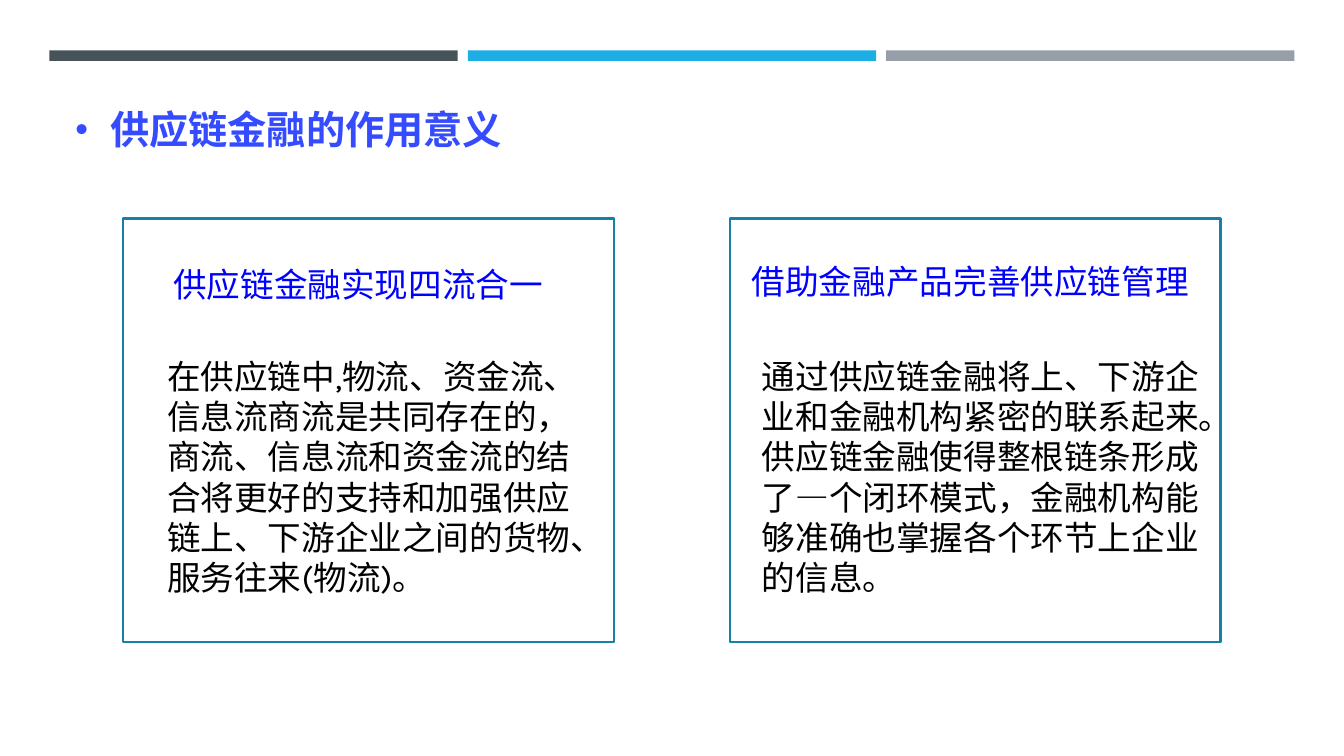
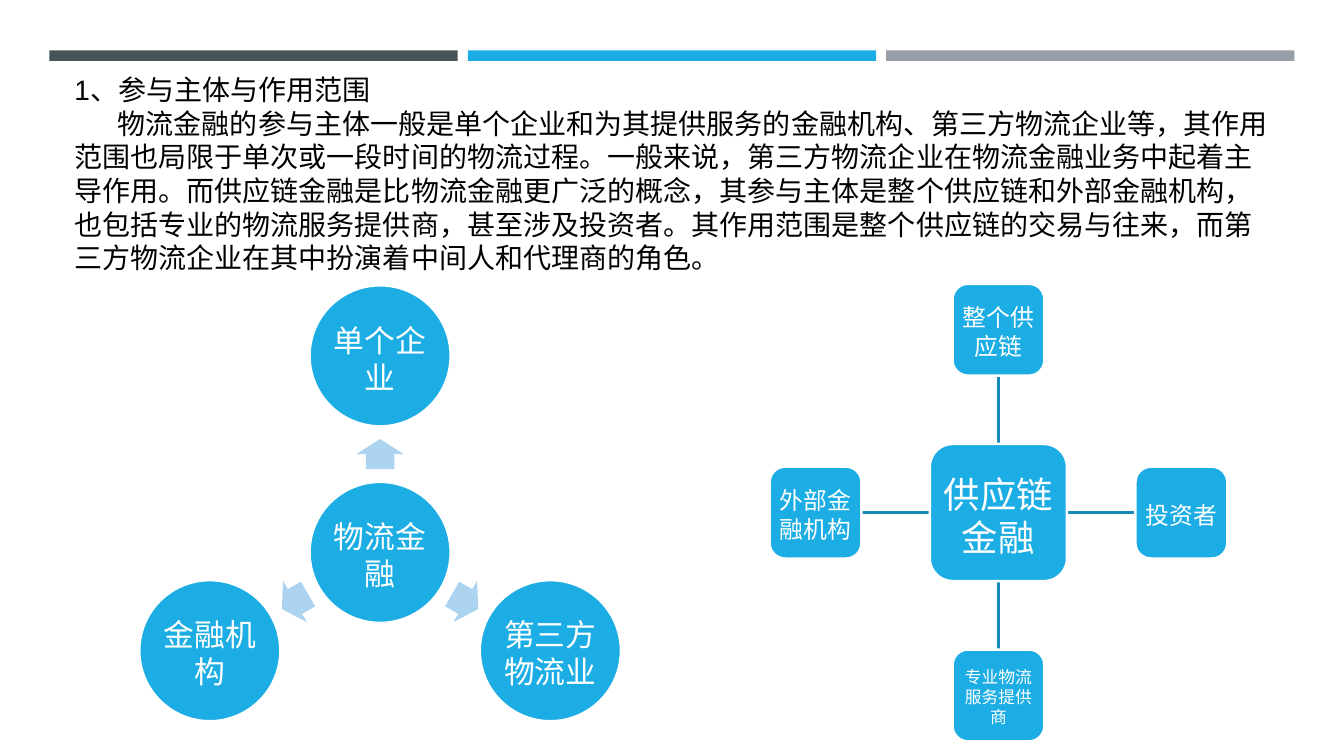
"""Builds two slides on supply chain finance, with lengths given as percentages of the slide size."""
import math

import lxml.etree
import pptx
import pptx.dml.color
import pptx.enum.shapes
import pptx.enum.text
import pptx.oxml.ns
import pptx.util

RGBColor = pptx.dml.color.RGBColor
SHAPE = pptx.enum.shapes.MSO_SHAPE
ANCHOR = pptx.enum.text.MSO_ANCHOR
ALIGN = pptx.enum.text.PP_ALIGN

SLATE = RGBColor(0x46, 0x53, 0x59)
SKY = RGBColor(0x1C, 0xAD, 0xE4)
GREY = RGBColor(0x96, 0x9F, 0xA7)
PALE_BLUE = RGBColor(0xAC, 0xD3, 0xEF)
CARD_LINE = RGBColor(0x15, 0x80, 0xA9)
SPOKE_LINE = RGBColor(0x16, 0x8B, 0xB7)
TITLE_BLUE = RGBColor(0x34, 0x4B, 0xFF)
HEADING_BLUE = RGBColor(0x00, 0x00, 0xFF)
BLACK = RGBColor(0x00, 0x00, 0x00)
WHITE = RGBColor(0xFF, 0xFF, 0xFF)

CHINESE_FONT = "Noto Sans CJK SC"
BODY_FONT = "Karla"
LINE_WIDTH = pptx.util.Pt(1.75)
LINE_HEIGHT = 1.2
BASELINE_DROP = 0.08
SLIDE_WIDTH = pptx.util.Inches(13.33)
SLIDE_HEIGHT = pptx.util.Inches(7.5)


def across(percent):
    return round(SLIDE_WIDTH * percent / 100)


def down(percent):
    return round(SLIDE_HEIGHT * percent / 100)


def area(left, top, width, height):
    return across(left), down(top), across(width), down(height)


def around(center, width, height):
    return center[0] - width // 2, center[1] - height // 2, width, height


def polar(center, distance, degrees):
    angle = math.radians(degrees)
    return (center[0] + round(distance * math.cos(angle)),
            center[1] + round(distance * math.sin(angle)))


def add_figure(slide, kind, box, fill=None, line=None):
    shape = slide.shapes.add_shape(kind, *box)
    shape.shadow.inherit = False
    if fill is None:
        shape.fill.background()
    else:
        shape.fill.solid()
        shape.fill.fore_color.rgb = fill
    if line is None:
        shape.line.fill.background()
    else:
        shape.line.color.rgb = line
        shape.line.width = LINE_WIDTH
    return shape


def add_run(paragraph, text, size, color, font, bold):
    run = paragraph.add_run()
    run.text = text
    run.font.size = pptx.util.Pt(size)
    run.font.bold = bold
    run.font.color.rgb = color
    run.font.name = font
    properties = run._r.get_or_add_rPr()
    properties.set("lang", "zh-CN")
    east_asian = lxml.etree.SubElement(properties, pptx.oxml.ns.qn("a:ea"))
    east_asian.set("typeface", CHINESE_FONT)


def write(shape, texts, size, color, font=BODY_FONT, bold=False, anchor=ANCHOR.TOP,
          align=ALIGN.LEFT, side_inset=0.1, indents=(0,)):
    frame = shape.text_frame
    frame.word_wrap = True
    frame.vertical_anchor = anchor
    drop = pptx.util.Pt(size * BASELINE_DROP)
    margin = pptx.util.Inches(0.05)
    frame.margin_left = frame.margin_right = pptx.util.Inches(side_inset)
    frame.margin_top, frame.margin_bottom = margin + drop, margin - drop
    for index, (text, indent) in enumerate(zip(texts, indents)):
        paragraph = frame.add_paragraph() if index else frame.paragraphs[0]
        paragraph.alignment = align
        paragraph.line_spacing = pptx.util.Pt(size * LINE_HEIGHT)
        if indent:
            paragraph._p.get_or_add_pPr().set("indent", str(pptx.util.Inches(indent)))
        add_run(paragraph, text, size, color, font, bold)


def add_text(slide, box, texts, size, color, **style):
    write(slide.shapes.add_textbox(*box), texts, size, color, **style)


def add_node(slide, kind, center, side, text, size):
    shape = add_figure(slide, kind, around(center, side, side), SKY, WHITE)
    write(shape, [text], size, WHITE, anchor=ANCHOR.MIDDLE, align=ALIGN.CENTER, side_inset=0.02)


def add_spoke(slide, start, end):
    spoke = slide.shapes.add_connector(
        pptx.enum.shapes.MSO_CONNECTOR.STRAIGHT, *start, *end)
    spoke.line.color.rgb = SPOKE_LINE
    spoke.line.width = LINE_WIDTH
    lxml.etree.SubElement(spoke._element.spPr, pptx.oxml.ns.qn("a:effectLst"))


def add_banded_slide(presentation):
    slide = presentation.slides.add_slide(presentation.slide_layouts[6])
    for column, color in enumerate((SLATE, SKY, GREY)):
        add_figure(slide, SHAPE.RECTANGLE, area(3.68 + 31.13 * column, 6.67, 30.38, 1.4), color)
    return slide


def add_card(slide, left, heading_area, heading, body_area, body):
    add_figure(slide, SHAPE.RECTANGLE, area(left, 28.93, 36.53, 56), line=CARD_LINE)
    add_text(slide, area(*heading_area), [heading], 24, HEADING_BLUE)
    add_text(slide, area(*body_area), [body], 24, BLACK)


def add_circle_diagram(slide, center, hub, satellites):
    side, orbit = across(10.5), across(14.63)
    add_node(slide, SHAPE.OVAL, center, side, hub, 22)
    for index, text in enumerate(satellites):
        degrees = 120 * index - 90
        arrow_box = around(polar(center, orbit / 2, degrees), across(2.25), across(3.53))
        arrow = add_figure(slide, SHAPE.RIGHT_ARROW, arrow_box, PALE_BLUE)
        arrow.adjustments[0] = 0.6
        arrow.rotation = degrees % 360
        add_node(slide, SHAPE.OVAL, polar(center, orbit, degrees), side, text, 22)


def add_spoke_diagram(slide, center, hub, satellites):
    hub_side, side, orbit = across(10.2), across(6.83), across(13.61)
    for index, (text, size) in enumerate(satellites):
        degrees = 90 * index - 90
        add_spoke(slide, polar(center, hub_side / 2, degrees),
                  polar(center, orbit - side / 2, degrees))
        add_node(slide, SHAPE.ROUNDED_RECTANGLE, polar(center, orbit, degrees), side, text, size)
    add_node(slide, SHAPE.ROUNDED_RECTANGLE, center, hub_side, hub, 26)


def build_significance_slide(presentation):
    slide = add_banded_slide(presentation)
    add_text(slide, area(3.9, 3.07, 90.45, 17.33), ["· 供应链金融的作用意义"], 28, TITLE_BLUE,
             font=CHINESE_FONT, bold=True, anchor=ANCHOR.BOTTOM)
    add_card(slide, 9.15, (12.15, 33.87, 29.7, 6.67), "供应链金融实现四流合一",
             (11.7, 46, 33.15, 33.6),
             "在供应链中,物流、资金流、信息流商流是共同存在的，商流、信息流和资金流的结合"
             "将更好的支持和加强供应链上、下游企业之间的货物、服务往来(物流)。")
    add_card(slide, 54.3, (55.2, 33.47, 36.53, 6.67), "借助金融产品完善供应链管理",
             (55.95, 46, 34.8, 33.6),
             "通过供应链金融将上、下游企业和金融机构紧密的联系起来。供应链金融使得整根链条"
             "形成了—个闭环模式，金融机构能够准确也掌握各个环节上企业的信息。")


def build_participants_slide(presentation):
    slide = add_banded_slide(presentation)
    explanation = (
        "物流金融的参与主体一般是单个企业和为其提供服务的金融机构、第三方物流企业等，"
        "其作用范围也局限于单次或一段时间的物流过程。一般来说，第三方物流企业在物流金融业务中"
        "起着主导作用。而供应链金融是比物流金融更广泛的概念，其参与主体是整个供应链和外部金融机构，"
        "也包括专业的物流服务提供商，甚至涉及投资者。其作用范围是整个供应链的交易与往来，"
        "而第三方物流企业在其中扮演着中间人和代理商的角色。")
    add_text(slide, area(4.8, 4.27, 90.45, 32.4), ["1、参与主体与作用范围", explanation], 20, BLACK,
             font="Arial", anchor=ANCHOR.BOTTOM, indents=(0, 0.43))
    add_circle_diagram(slide, (across(28.28), down(73.07)), "物流金融",
                       ["单个企业", "第三方物流业", "金融机构"])
    add_spoke_diagram(slide, (across(74.29), down(67.8)), "供应链金融",
                      [("整个供应链", 17), ("投资者", 17),
                       ("专业物流服务提供商", 12), ("外部金融机构", 17)])


def main():
    presentation = pptx.Presentation()
    presentation.slide_width = SLIDE_WIDTH
    presentation.slide_height = SLIDE_HEIGHT
    build_significance_slide(presentation)
    build_participants_slide(presentation)
    presentation.save("out.pptx")


if __name__ == "__main__":
    main()
